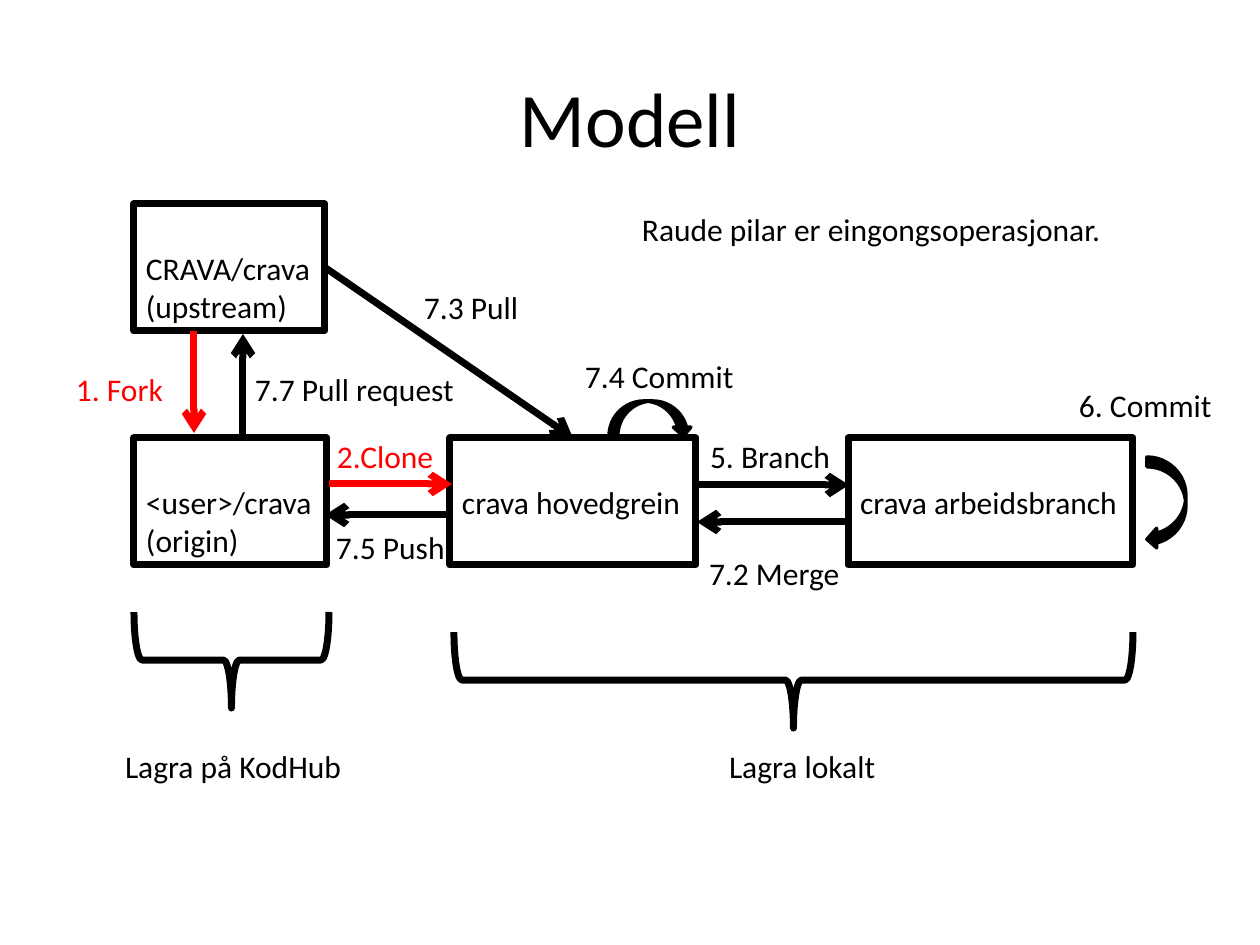
from lxml.etree import SubElement
from pptx import Presentation
from pptx.dml.color import RGBColor
from pptx.enum.shapes import MSO_CONNECTOR, MSO_SHAPE
from pptx.enum.text import MSO_ANCHOR, MSO_AUTO_SIZE, PP_ALIGN
from pptx.oxml.ns import qn
from pptx.util import Inches, Pt

BLACK, RED = "000000", "FF0000"
MARGIN_X, MARGIN_Y = 12, 6
LABEL_HEIGHT = 50
BOX_HEIGHT = 127
BRACE_HEIGHT = 96

# name: text, left, top, width, anchor
BOXES = {
    "upstream": ("CRAVA/crava\n(upstream)", 134, 204, 191, MSO_ANCHOR.BOTTOM),
    "origin": ("<user>/crava\n(origin)", 134, 438, 193, MSO_ANCHOR.BOTTOM),
    "main": ("crava hovedgrein", 450, 438, 246, MSO_ANCHOR.MIDDLE),
    "work": ("crava arbeidsbranch", 848, 438, 285, MSO_ANCHOR.MIDDLE),
}
# start x, y, end x, y, color
ARROWS = [
    (194, 331, 194, 433, RED),      # fork
    (243, 435, 243, 334, BLACK),    # pull request
    (329, 484, 452, 484, RED),      # clone
    (449, 515, 325, 515, BLACK),    # push
    (698, 485, 849, 485, BLACK),    # branch
    (848, 522, 697, 522, BLACK),    # merge
]
# text, left, top, width, color
LABELS = [
    ("1. Fork", 64, 364, 113, RED),
    ("7.7 Pull request", 243, 364, 227, BLACK),
    ("2.Clone", 325, 431, 126, RED),
    ("7.5 Push", 324, 522, 135, BLACK),
    ("7.3 Pull", 412, 282, 121, BLACK),
    ("5. Branch", 698, 431, 146, BLACK),
    ("7.2 Merge", 697, 548, 158, BLACK),
    ("6. Commit", 1067, 380, 159, BLACK),
    ("7.4 Commit", 573, 351, 175, BLACK),
    ("Lagra på KodHub", 113, 741, 244, BLACK),
    ("Lagra lokalt", 717, 741, 173, BLACK),
    ("Raude pilar er eingongsoperasjonar.", 630, 204, 489, BLACK),
]
# left, top, width of each downward brace
BRACES = [(134, 612, 195), (454, 632, 679)]
COMMIT_LOOPS = [
    (MSO_SHAPE.CURVED_LEFT_ARROW, 1147, 457, 39, 92),
    (MSO_SHAPE.CURVED_DOWN_ARROW, 609, 401, 83, 35),
]


def px(*lengths):
    return [round(length * Inches(1) / 126) for length in lengths]


def color_of(value):
    return RGBColor.from_string(value)


def write(shape, text, size=18, color=BLACK, anchor=MSO_ANCHOR.TOP,
          align=PP_ALIGN.LEFT, wrap=False, fit=MSO_AUTO_SIZE.NONE):
    frame = shape.text_frame
    frame.text = text
    frame.word_wrap = wrap
    frame.auto_size = fit
    frame.vertical_anchor = anchor
    frame.margin_left, frame.margin_right = px(MARGIN_X, MARGIN_X)
    frame.margin_top, frame.margin_bottom = px(MARGIN_Y, MARGIN_Y)
    for paragraph in frame.paragraphs:
        paragraph.alignment = align
        paragraph.font.size = Pt(size)
        paragraph.font.name = "Calibri"
        paragraph.font.color.rgb = color_of(color)


def set_line(shape, color=BLACK, width=4):
    shape.line.color.rgb = color_of(color)
    shape.line.width = Pt(width)


def add_outline(slide, kind, *position, fill=None, width=4):
    shape = slide.shapes.add_shape(kind, *px(*position))
    shape.shadow.inherit = False
    if fill:
        shape.fill.solid()
        shape.fill.fore_color.rgb = color_of(fill)
    else:
        shape.fill.background()
    set_line(shape, width=width)
    return shape


def add_arrow(slide, *ends, color=BLACK):
    connector = slide.shapes.add_connector(MSO_CONNECTOR.STRAIGHT, *px(*ends))
    set_line(connector, color)
    SubElement(connector.line._get_or_add_ln(), qn("a:tailEnd"), type="arrow")
    SubElement(connector._element.spPr, qn("a:effectLst"))
    return connector


def main():
    presentation = Presentation()
    presentation.slide_width, presentation.slide_height = Inches(10), Inches(7.5)
    slide = presentation.slides.add_slide(presentation.slide_layouts[5])

    title = slide.shapes.title
    title.left, title.top, title.width, title.height = px(63, 38, 1134, 158)
    write(title, "Modell", size=44, anchor=MSO_ANCHOR.MIDDLE,
          align=PP_ALIGN.CENTER, wrap=True)

    boxes = {}
    for name, (text, left, top, width, anchor) in BOXES.items():
        boxes[name] = add_outline(slide, MSO_SHAPE.RECTANGLE,
                                  left, top, width, BOX_HEIGHT)
        write(boxes[name], text, anchor=anchor)

    for *ends, color in ARROWS:
        add_arrow(slide, *ends, color=color)
    pull = add_arrow(slide, 325, 268, 573, 438)
    pull.begin_connect(boxes["upstream"], 3)
    pull.end_connect(boxes["main"], 0)

    for left, top, width in BRACES:
        # A left brace turned a quarter: swap its sides around the same centre
        shift = (width - BRACE_HEIGHT) / 2
        brace = add_outline(slide, MSO_SHAPE.LEFT_BRACE,
                            left + shift, top - shift, BRACE_HEIGHT, width)
        brace.rotation = 270

    for kind, *position in COMMIT_LOOPS:
        add_outline(slide, kind, *position, fill=BLACK, width=2)

    for text, left, top, width, color in LABELS:
        label = slide.shapes.add_textbox(*px(left, top, width, LABEL_HEIGHT))
        write(label, text, color=color, fit=MSO_AUTO_SIZE.SHAPE_TO_FIT_TEXT)

    presentation.save("out.pptx")


if __name__ == "__main__":
    main()
